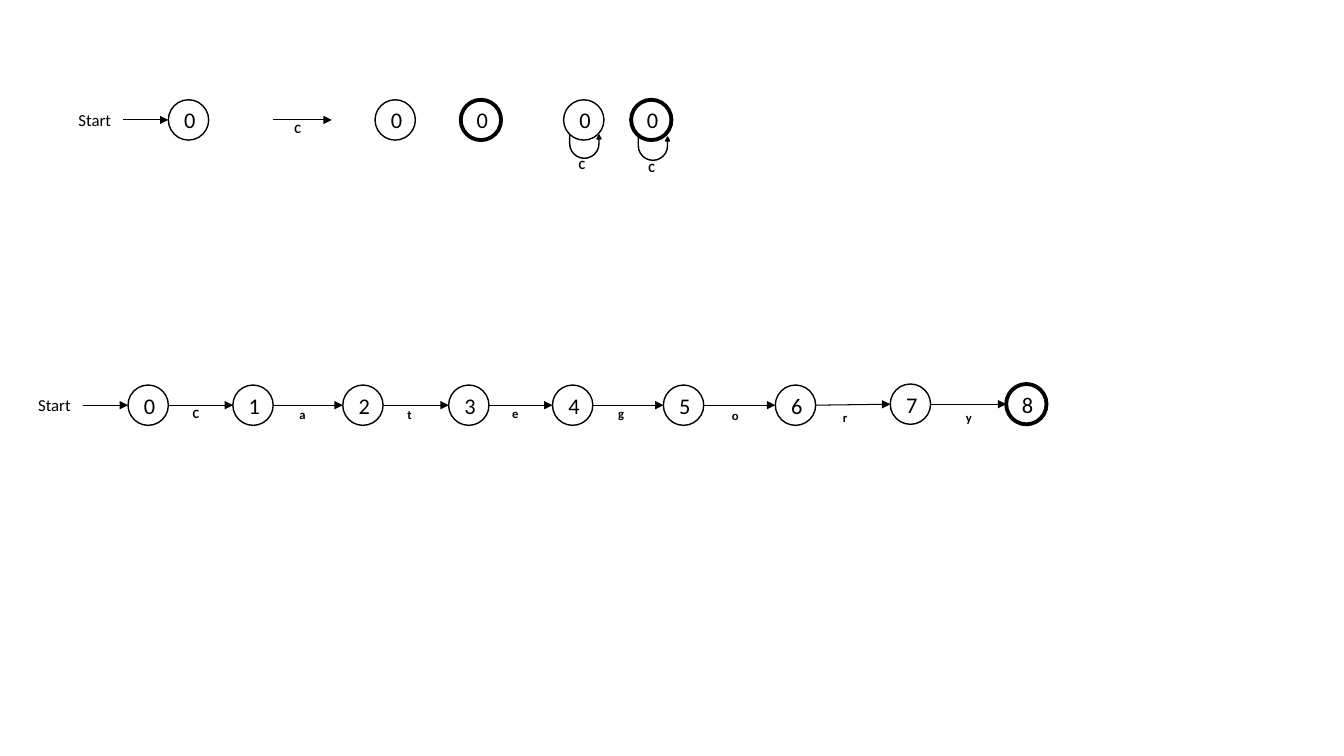
import pptx
import pptx.util
import pptx.dml.color
import pptx.enum.shapes
import pptx.enum.text
import pptx.oxml
import pptx.oxml.ns

Inches = pptx.util.Inches
Pt = pptx.util.Pt
SHAPE = pptx.enum.shapes.MSO_SHAPE
ALIGN = pptx.enum.text.PP_ALIGN
ANCHOR = pptx.enum.text.MSO_ANCHOR
INK = "000000"
SIZE = 0.4
THIN, BOLD = 1, 2.75

STATE = {"size": Pt(16), "bold": False}
START = {"size": Pt(12), "bold": False}
LETTER = {"size": Pt(9), "bold": True}
TIGHT = {"word_wrap": True, "margin_left": Inches(0.06), "margin_right": 0}
LOOSE = {"word_wrap": False}

NODES = [(1.27, 3.82), (2.31, 3.82), (3.4, 3.82), (4.45, 3.82), (5.48, 3.82),
         (6.58, 3.82), (7.69, 3.82), (8.83, 3.81), (9.98, 3.81)]
MARKS = [("C", 1.85, 3.98), ("a", 2.91, 3.99), ("t", 3.98, 3.99), ("e", 5.02, 3.98),
         ("g", 6.07, 3.98), ("o", 7.2, 4), ("r", 8.3, 4.02), ("y", 9.52, 4.02)]


def color(code):
    return pptx.dml.color.RGBColor.from_string(code)


def apply(target, values):
    for name, value in values.items():
        setattr(target, name, value)


def write(frame, words, look, align=ALIGN.LEFT):
    para = frame.paragraphs[0]
    para.alignment = align
    run = para.add_run()
    run.text = words
    apply(run.font, {"name": "Calibri", **look})
    run.font.color.rgb = color(INK)


def stroke(line, width):
    line.color.rgb = color(INK)
    line.width = Pt(width)


def label(slide, words, x, y, w, h, look, frame):
    box = slide.shapes.add_textbox(Inches(x), Inches(y), Inches(w), Inches(h))
    apply(box.text_frame, frame)
    write(box.text_frame, words, look)


def letter(slide, words, x, y):
    label(slide, words, x, y, 0.16, 0.25, LETTER, TIGHT)


def node(slide, words, x, y, width=THIN):
    ring = slide.shapes.add_shape(
        SHAPE.OVAL, Inches(x), Inches(y), Inches(SIZE), Inches(SIZE))
    ring.shadow.inherit = False
    ring.fill.background()
    stroke(ring.line, width)
    ring.text_frame.vertical_anchor = ANCHOR.MIDDLE
    write(ring.text_frame, words, STATE, ALIGN.CENTER)


def arrow(slide, x1, y1, x2, y2):
    link = slide.shapes.add_connector(
        pptx.enum.shapes.MSO_CONNECTOR.STRAIGHT,
        Inches(x1), Inches(y1), Inches(x2), Inches(y2))
    stroke(link.line, 0.75)
    space = pptx.oxml.ns.nsdecls("a")
    link.line._get_or_add_ln().append(
        pptx.oxml.parse_xml(f'<a:tailEnd {space} type="triangle"/>'))
    link._element.spPr.append(pptx.oxml.parse_xml(f"<a:effectLst {space}/>"))


def entry(slide, x, y):
    mid = y + SIZE / 2
    label(slide, "Start", x - 0.99, mid - 0.15, 0.53, 0.3, START, LOOSE)
    arrow(slide, x - 0.45, mid, x, mid)
    node(slide, "0", x, y)


def loop(slide, x, y):
    turn = slide.shapes.add_shape(
        SHAPE.U_TURN_ARROW, Inches(x), Inches(y), Inches(0.31), Inches(0.23))
    turn.shadow.inherit = False
    for spot, value in enumerate([0, 0.085, 0.164, 0.717, 1]):
        turn.adjustments[spot] = value
    turn.rotation = 180
    turn._element.spPr.xfrm.set("flipH", "1")
    turn.fill.solid()
    turn.fill.fore_color.rgb = color(INK)
    stroke(turn.line, THIN)


def legend(slide):
    top = 0.99
    entry(slide, 1.67, top)
    arrow(slide, 2.71, 1.19, 3.29, 1.19)
    letter(slide, "C", 2.86, 1.15)
    for x, width in [(3.72, THIN), (4.57, BOLD), (5.59, THIN), (6.26, BOLD)]:
        node(slide, "0", x, top, width)
    for x, y in [(5.65, 1.34), (6.33, 1.36)]:
        loop(slide, x, y)
    for x, y in [(5.68, 1.51), (6.37, 1.54)]:
        letter(slide, "C", x, y)


def chain(slide):
    entry(slide, *NODES[0])
    last = len(NODES) - 1
    for spot, (x, y) in enumerate(NODES[1:], 1):
        node(slide, str(spot), x, y, BOLD if spot == last else THIN)
    half = SIZE / 2
    for (x1, y1), (x2, y2) in zip(NODES, NODES[1:]):
        arrow(slide, x1 + SIZE, y1 + half, x2, y2 + half)
    for mark in MARKS:
        letter(slide, *mark)


def main():
    deck = pptx.Presentation()
    apply(deck, {"slide_width": Inches(13.33), "slide_height": Inches(7.5)})
    slide = deck.slides.add_slide(deck.slide_layouts[6])
    chain(slide)
    legend(slide)
    deck.save("out.pptx")


if __name__ == "__main__":
    main()
